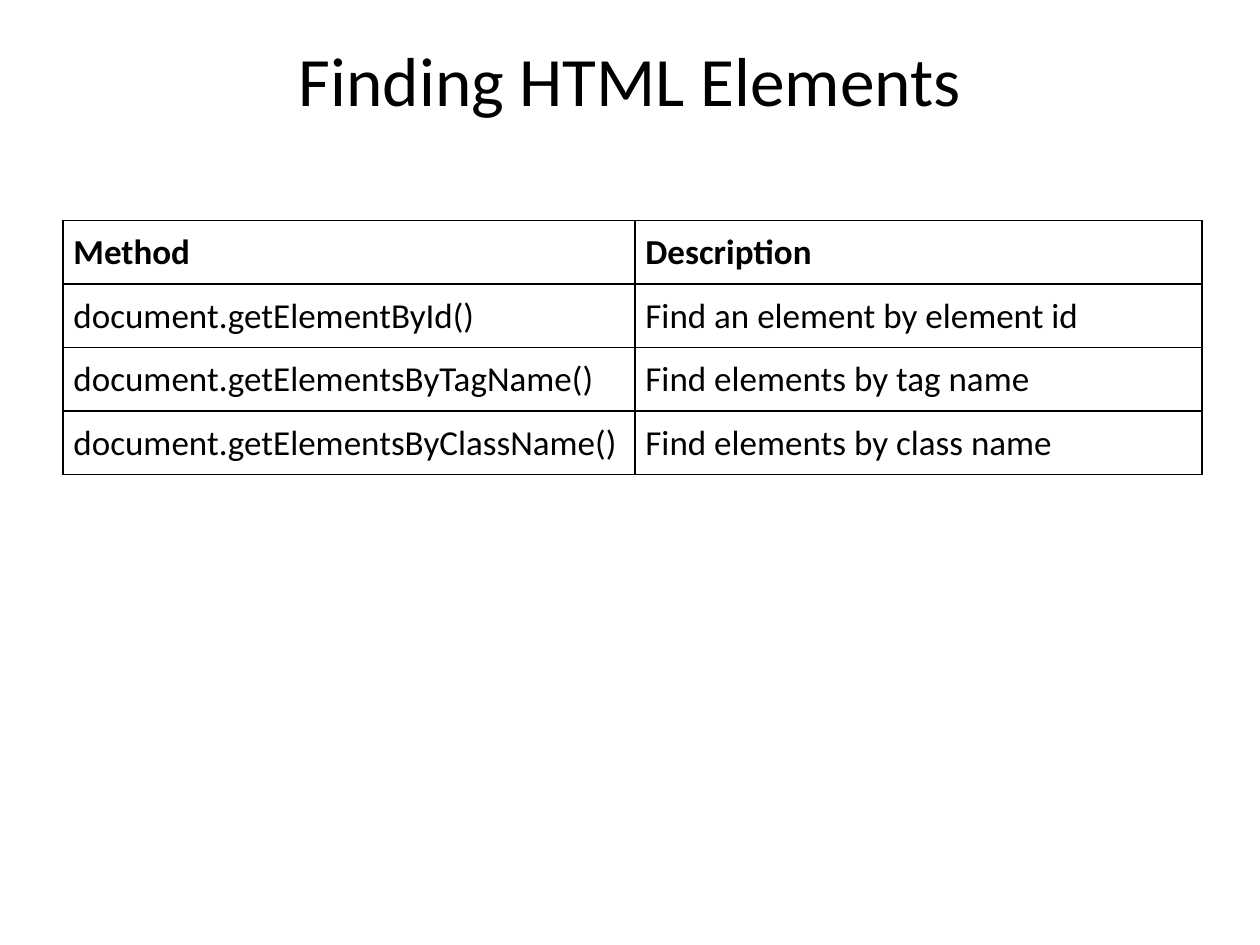
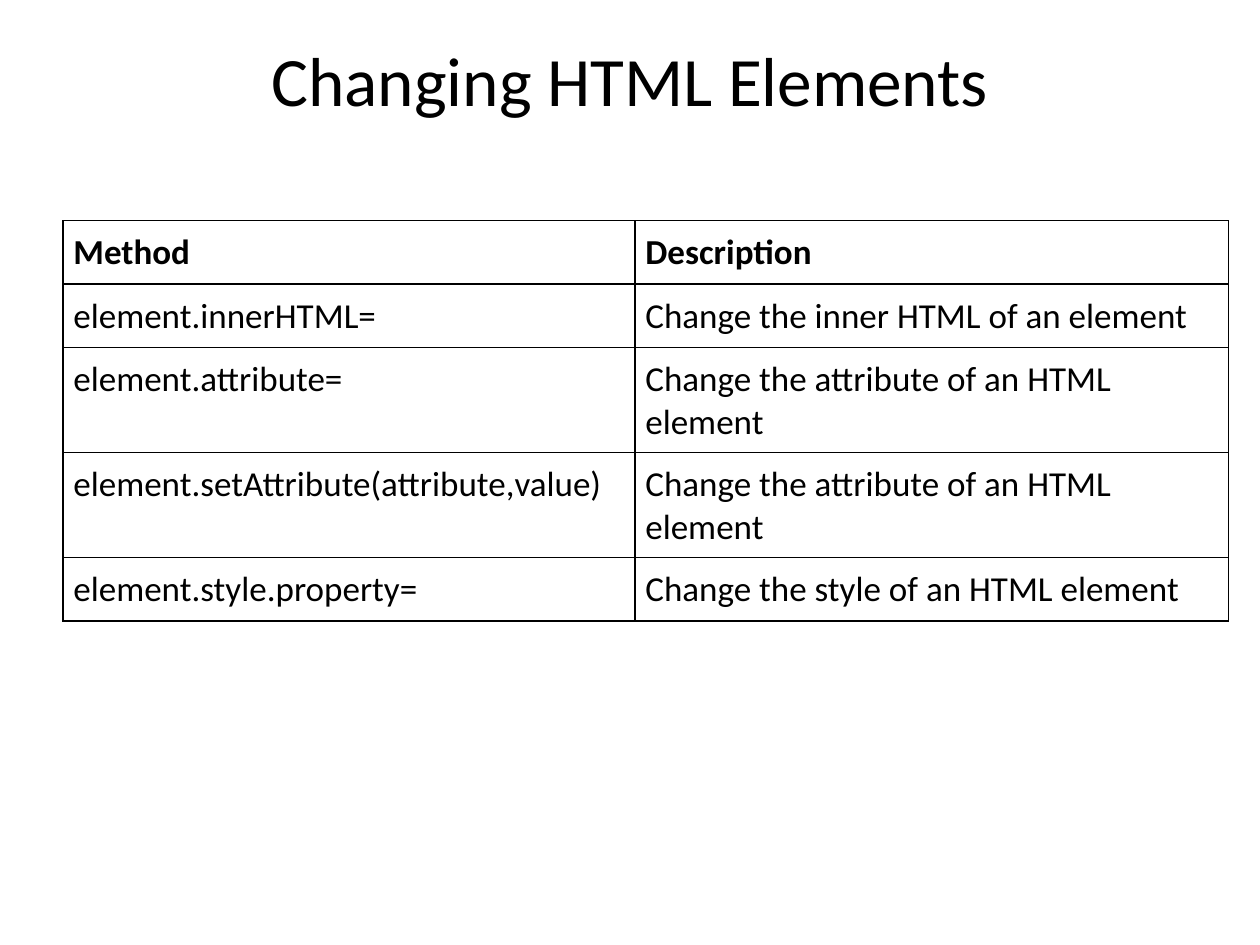
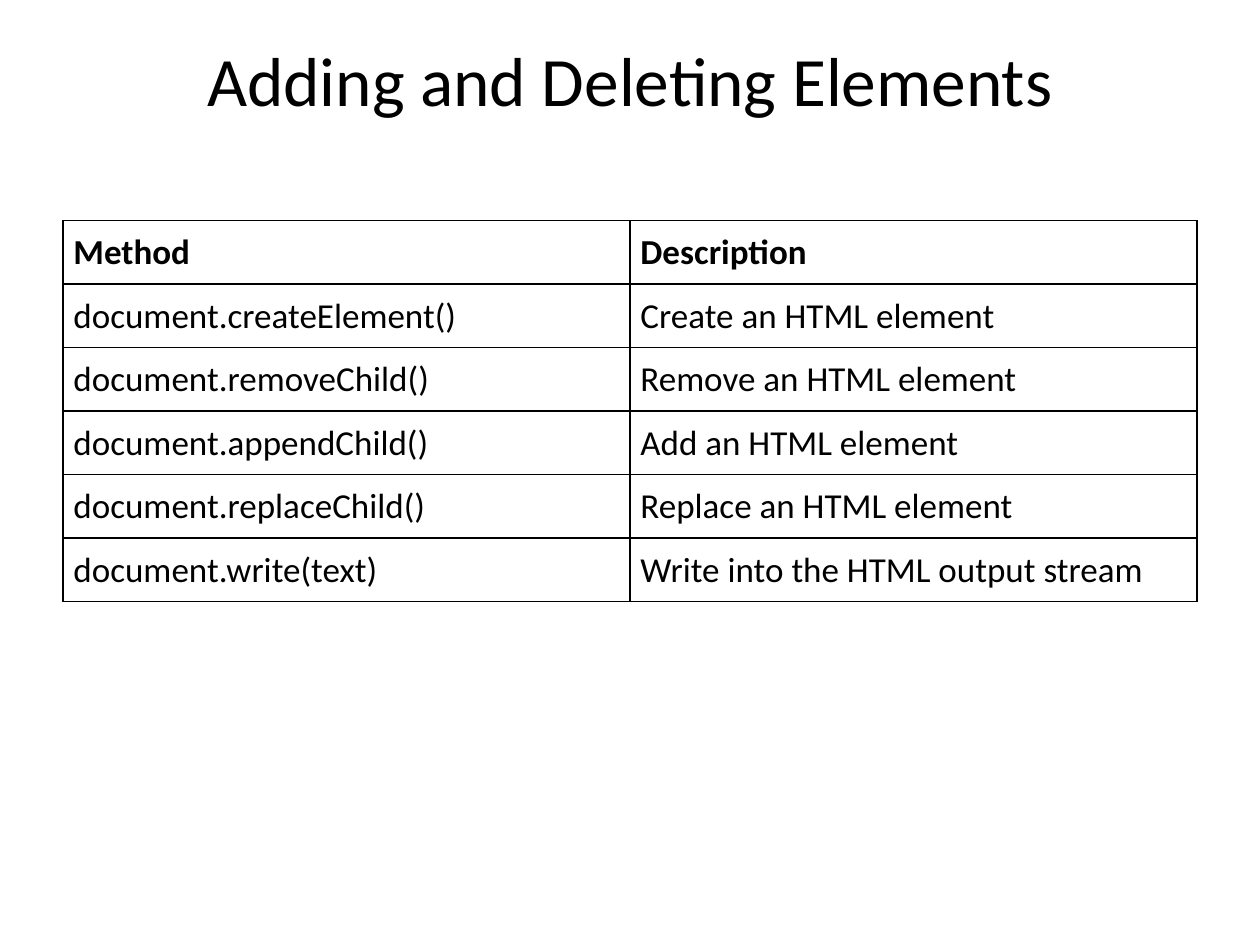
"""Build three slides that list the DOM methods in tables."""
from dataclasses import dataclass

from lxml import etree
from pptx import Presentation
from pptx import util as u
from pptx.dml.color import RGBColor
from pptx.enum import text
from pptx.oxml import ns


@dataclass(frozen=True)
class Theme:
    """Hold the colours, type and measures that the slides share."""
    ink: str = "000000"
    paper: str = "FFFFFF"
    font: str = "Calibri"
    title: float = 39.6
    body: int = 20
    rule: int = 1
    left: float = 1.27
    row: float = 1.28
    pad: float = 0.21


LOOK = Theme()
HEAD = ("Method", "Description")
PAGES = [
    ("Finding HTML Elements", (11.53, 11.43), [
        ("document.getElementById()", "Find an element by element id"),
        ("document.getElementsByTagName()", "Find elements by tag name"),
        ("document.getElementsByClassName()", "Find elements by class name"),
    ]),
    ("Changing HTML Elements", (11.53, 11.96), [
        ("element.innerHTML=", "Change the inner HTML of an element"),
        ("element.attribute=", "Change the attribute of an HTML element"),
        ("element.setAttribute(attribute,value)",
         "Change the attribute of an HTML element"),
        ("element.style.property=", "Change the style of an HTML element"),
    ]),
    ("Adding and Deleting Elements", (11.43, 11.43), [
        ("document.createElement()", "Create an HTML element"),
        ("document.removeChild()", "Remove an HTML element"),
        ("document.appendChild()", "Add an HTML element"),
        ("document.replaceChild()", "Replace an HTML element"),
        ("document.write(text)", "Write into the HTML output stream"),
    ]),
]


def apply(item, form):
    """Set each format value on the item."""
    for name, value in form.items():
        setattr(item, name, value)


def write(frame, words, size, bold=False):
    """Put one run of styled text in the frame."""
    run = frame.paragraphs[0].add_run()
    run.text = words
    apply(run.font, {"name": LOOK.font, "size": u.Pt(size), "bold": bold})
    run.font.color.rgb = RGBColor.from_string(LOOK.ink)


def add_title(slide, words):
    """Add the centred slide title."""
    box = slide.shapes.add_textbox(
        u.Cm(LOOK.left), u.Cm(0.76), u.Cm(22.86), u.Cm(3.18))
    frame = box.text_frame
    apply(frame, {"word_wrap": True, "margin_top": 0,
                  "vertical_anchor": text.MSO_ANCHOR.TOP})
    write(frame, words, LOOK.title)
    frame.paragraphs[0].alignment = text.PP_ALIGN.CENTER


def add_edges(cell):
    """Rule all four sides of a cell."""
    props = cell._tc.get_or_add_tcPr()
    for place, side in enumerate("LRTB"):
        line = etree.Element(ns.qn(f"a:ln{side}"), w=str(u.Pt(LOOK.rule)))
        fill = etree.SubElement(line, ns.qn("a:solidFill"))
        etree.SubElement(fill, ns.qn("a:srgbClr"), val=LOOK.ink)
        props.insert(place, line)


def fill_cell(cell, words, bold):
    """Style one cell and write its text."""
    apply(cell, {f"margin_{side}": u.Cm(LOOK.pad)
                 for side in ("left", "right", "top", "bottom")})
    cell.fill.background()
    add_edges(cell)
    write(cell.text_frame, words, LOOK.body, bold)


def add_grid(slide, widths, rows):
    """Add a ruled table with a bold heading row."""
    lines = [HEAD, *rows]
    grid = slide.shapes.add_table(
        len(lines), len(widths), u.Cm(LOOK.left), u.Cm(4.45),
        u.Cm(sum(widths)), u.Cm(LOOK.row * len(lines))).table
    apply(grid, {"first_row": False, "horz_banding": False})
    for col, width in zip(grid.columns, widths):
        col.width = u.Cm(width)
    for r, line in enumerate(lines):
        for c, words in enumerate(line):
            fill_cell(grid.cell(r, c), words, r == 0)


def main():
    """Build and save the deck."""
    deck = Presentation()
    apply(deck, {"slide_width": u.Cm(25.4), "slide_height": u.Cm(19.05)})
    for title, widths, rows in PAGES:
        slide = deck.slides.add_slide(deck.slide_layouts[6])
        back = slide.background.fill
        back.solid()
        back.fore_color.rgb = RGBColor.from_string(LOOK.paper)
        add_title(slide, title)
        add_grid(slide, widths, rows)
    deck.save("out.pptx")


if __name__ == "__main__":
    main()
